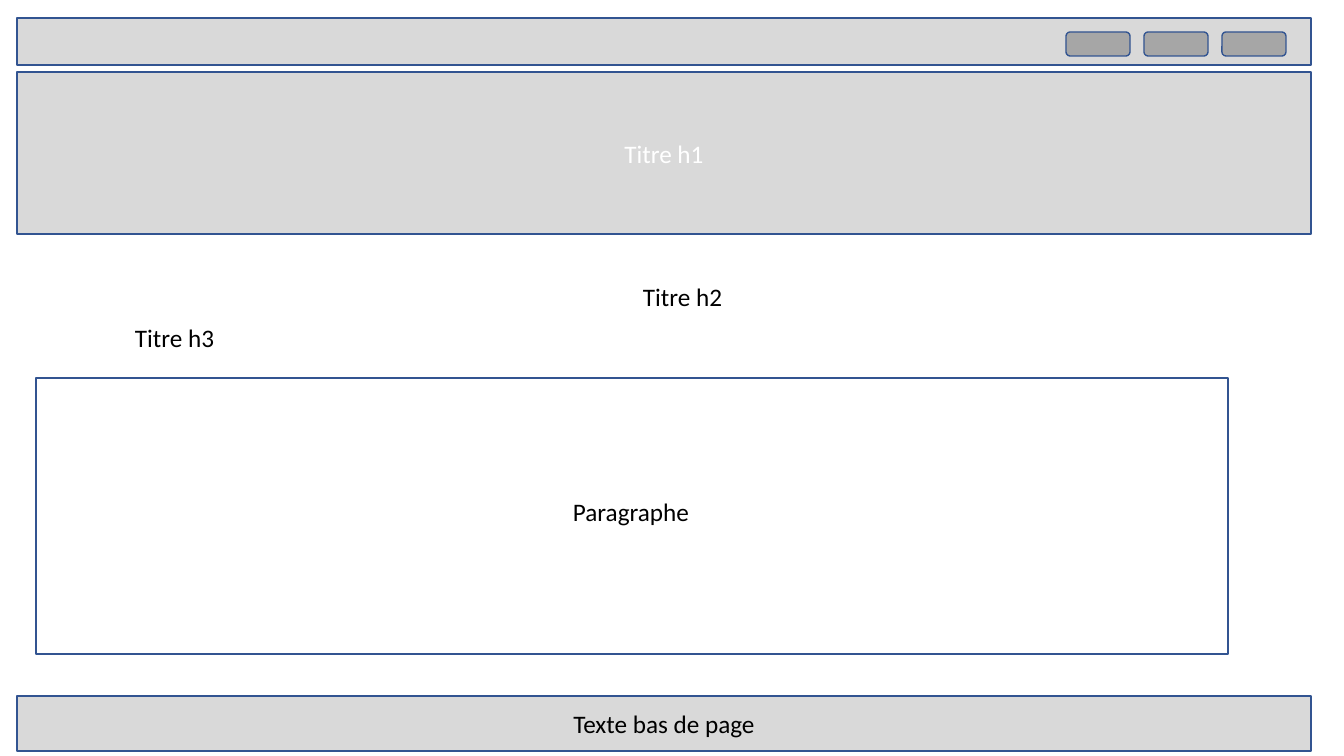
from dataclasses import dataclass

from pptx import Presentation
from pptx.dml.color import RGBColor
from pptx.enum.shapes import MSO_SHAPE
from pptx.enum.text import MSO_ANCHOR, MSO_AUTO_SIZE, PP_ALIGN
from pptx.util import Emu, Pt

SCALE = 914400 / 100.8  # EMU in one px


@dataclass(frozen=True)
class Theme:
    panel: str = "D9D9D9"
    button: str = "A6A6A6"
    edge: str = "325491"
    dark: str = "000000"
    light: str = "FFFFFF"
    font: str = "Calibri"
    size: int = 18
    stroke: int = 1


def px(*sizes):
    return [Emu(round(size * SCALE)) for size in sizes]


def apply(target, values):
    for name, value in values.items():
        setattr(target, name, value)


class Page:
    def __init__(self, deck, theme):
        self.theme = theme
        self.slide = deck.slides.add_slide(deck.slide_layouts[5])

    def paint(self, shape, fill):
        if fill:
            shape.fill.solid()
            shape.fill.fore_color.rgb = RGBColor.from_string(fill)
        else:
            shape.fill.background()
        shape.line.color.rgb = RGBColor.from_string(self.theme.edge)
        shape.line.width = Pt(self.theme.stroke)

    def letter(self, shape, text, color, align, frame):
        apply(shape.text_frame, frame)
        para = shape.text_frame.paragraphs[0]
        para.alignment = align
        run = para.add_run()
        run.text = text
        apply(run.font, {"name": self.theme.font, "size": Pt(self.theme.size)})
        run.font.color.rgb = RGBColor.from_string(color)

    def center(self, shape, text, color):
        self.letter(shape, text, color, PP_ALIGN.CENTER, {
            "vertical_anchor": MSO_ANCHOR.MIDDLE,
            "auto_size": MSO_AUTO_SIZE.NONE,
            "word_wrap": True,
        })

    def title(self, box, text):
        shape = self.slide.shapes.title
        apply(shape, dict(zip(("left", "top", "width", "height"), px(*box))))
        self.paint(shape, self.theme.panel)
        self.center(shape, text, self.theme.light)

    def block(self, box, fill=None, text=None, kind=MSO_SHAPE.RECTANGLE):
        shape = self.slide.shapes.add_shape(kind, *px(*box))
        shape.shadow.inherit = False
        self.paint(shape, fill)
        if text:
            self.center(shape, text, self.theme.dark)

    def label(self, box, text):
        shape = self.slide.shapes.add_textbox(*px(*box))
        self.letter(shape, text, self.theme.dark, PP_ALIGN.LEFT, {
            "word_wrap": False,
            "auto_size": MSO_AUTO_SIZE.SHAPE_TO_FIT_TEXT,
        })


def main():
    deck = Presentation()
    deck.slide_width, deck.slide_height = px(1344, 756)
    theme = Theme()
    page = Page(deck, theme)
    left, width = 17, 1294

    # Navigation bar with its buttons
    page.block((left, 18, width, 47), theme.panel)
    for i in range(3):
        page.block((1066 + 78 * i, 32, 64, 24), theme.button,
                   kind=MSO_SHAPE.ROUNDED_RECTANGLE)

    # Main banner
    page.title((left, 72, width, 162), "Titre h1")

    # Headings
    page.label((633, 276, 101, 40), "Titre h2")
    page.label((125, 317, 101, 40), "Titre h3")

    # Body
    page.block((36, 378, 1192, 276))
    page.label((563, 491, 138, 40), "Paragraphe")

    # Footer
    page.block((left, 696, width, 55), theme.panel, "Texte bas de page")

    deck.save("out.pptx")


if __name__ == "__main__":
    main()
